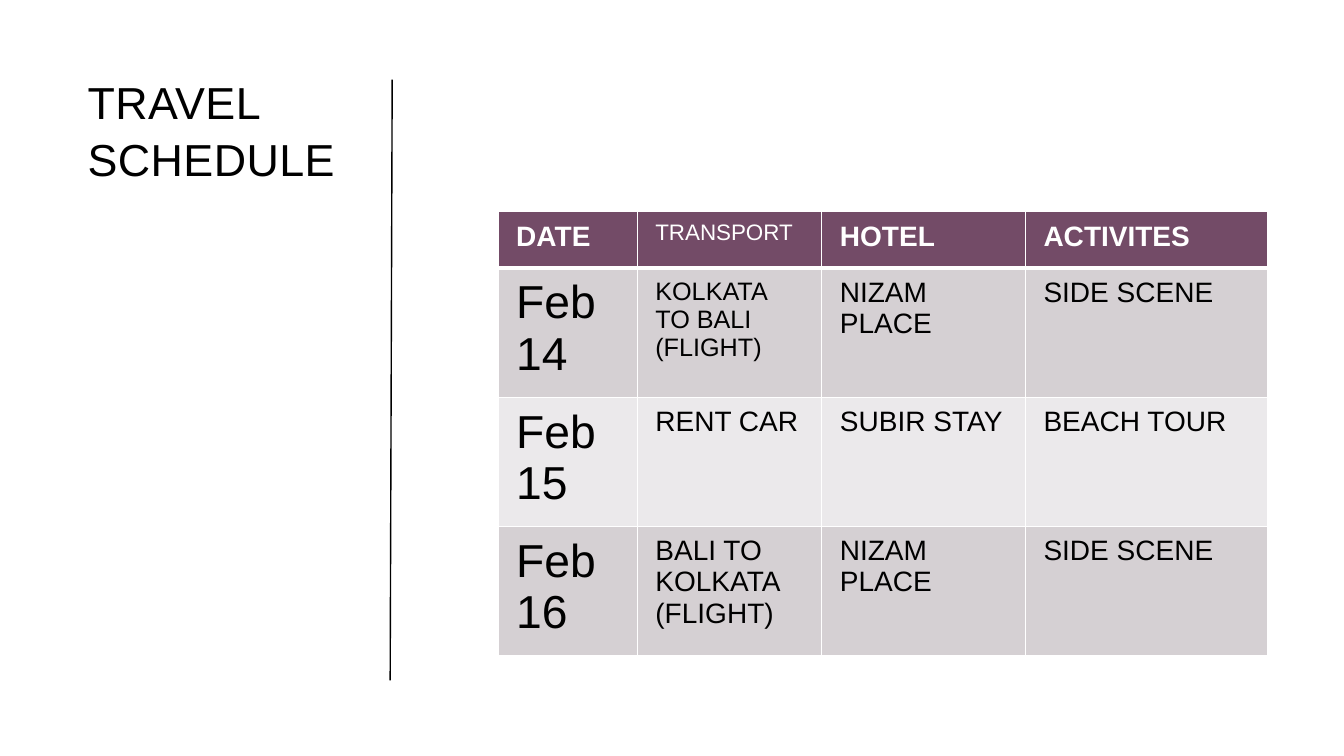
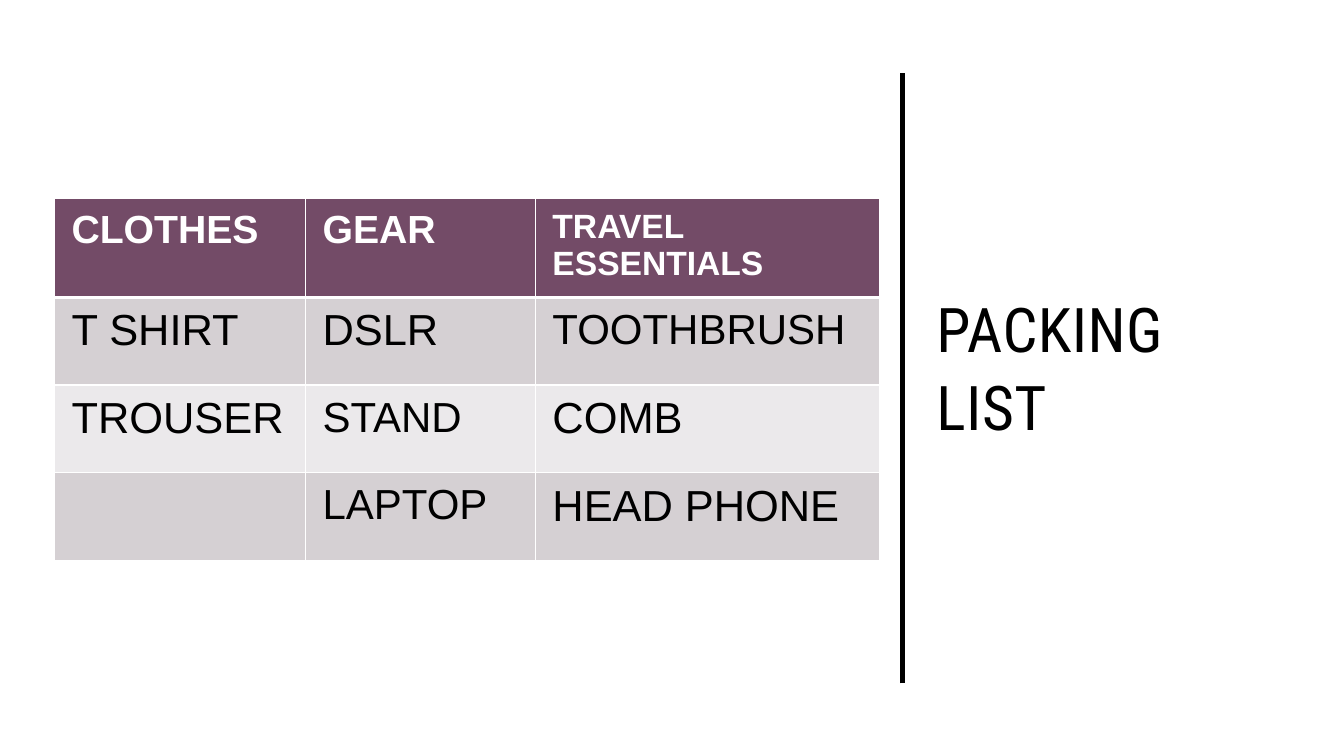
from lxml.etree import SubElement
from pptx import Presentation
from pptx.dml.color import RGBColor
from pptx.enum.shapes import MSO_CONNECTOR
from pptx.enum.text import MSO_ANCHOR
from pptx.oxml.ns import qn
from pptx.util import Pt

PX = 9144  # 100 px to the inch
BLACK = RGBColor(0x00, 0x00, 0x00)
WHITE = RGBColor(0xFF, 0xFF, 0xFF)
PLUM = RGBColor(0x73, 0x4B, 0x67)
BANDS = (RGBColor(0xD5, 0xD0, 0xD3), RGBColor(0xEB, 0xE9, 0xEB))
BODY_FONT = "Arial"


def px(*lengths):
    return [round(n * PX) for n in lengths]


def format_font(font, **values):
    for name, value in values.items():
        if name == "color":
            font.color.rgb = value
        else:
            setattr(font, name, value)


def add_title(s, box, text, size, font, anchor):
    tf = s.shapes.add_textbox(*px(*box)).text_frame
    tf.word_wrap = True
    tf.vertical_anchor = anchor
    p = tf.paragraphs[0]
    p.line_spacing = 1.05
    r = p.add_run()
    r.text = text
    format_font(r.font, name=font, size=Pt(size), color=BLACK)
    r.font._element.set("spc", "30")


def add_rule(s, start, end, width):
    line = s.shapes.add_connector(MSO_CONNECTOR.STRAIGHT, *px(*start, *end))
    line.line.color.rgb = BLACK
    line.line.width = Pt(width)
    SubElement(line._element.spPr, qn("a:effectLst"))


def set_borders(cell, top, bottom):
    tc_pr = cell._tc.get_or_add_tcPr()
    for side, width in (("L", 1), ("R", 1), ("T", top), ("B", bottom)):
        ln = SubElement(tc_pr, qn(f"a:ln{side}"), w=str(Pt(width)))
        fill = SubElement(ln, qn("a:solidFill"))
        SubElement(fill, qn("a:srgbClr"), val=str(WHITE))


def fill_cell(cell, row, text, size, bold, inset):
    header = row == 0
    set_borders(cell, 3 if row == 1 else 1, 3 if header else 1)
    cell.fill.solid()
    cell.fill.fore_color.rgb = PLUM if header else BANDS[(row - 1) % 2]
    cell.margin_left, cell.margin_right = px(inset, inset)
    cell.margin_top, cell.margin_bottom = px(9, 9)
    cell.text = text
    for p in cell.text_frame.paragraphs:
        format_font(p.font, name=BODY_FONT, size=Pt(size), bold=bold,
                    color=WHITE if header else BLACK)


def add_grid(s, left, top, cols, rows, cells, inset):
    """Each cell is (text, size), with False added for a plain header."""
    frame = s.shapes.add_table(len(rows), len(cols),
                               *px(left, top, sum(cols), sum(rows)))
    table = frame.table
    table.first_row = table.horz_banding = False
    for col, width in zip(table.columns, px(*cols)):
        col.width = width
    for row, height in zip(table.rows, px(*rows)):
        row.height = height
    for i, line in enumerate(cells):
        for j, (text, size, *bold) in enumerate(line):
            fill_cell(table.cell(i, j), i, text, size,
                      bold[0] if bold else i == 0, inset)


def schedule_slide(s):
    add_title(s, (77, 67, 276, 491), "TRAVEL SCHEDULE", 32, BODY_FONT,
              MSO_ANCHOR.TOP)
    add_rule(s, (387, 675), (389, 79), 1)
    add_grid(s, 494, 210, (138, 183, 202, 240), (56, 120, 120, 120), [
        [("DATE", 20), ("TRANSPORT", 16, False), ("HOTEL", 20),
         ("ACTIVITES", 20)],
        [("Feb 14", 33), ("KOLKATA TO BALI\n(FLIGHT)", 18),
         ("NIZAM PLACE", 20), ("SIDE SCENE", 20)],
        [("Feb 15", 33), ("RENT CAR", 20), ("SUBIR STAY", 20),
         ("BEACH TOUR", 20)],
        [("Feb 16", 33), ("BALI TO KOLKATA\n(FLIGHT)", 20),
         ("NIZAM PLACE", 20), ("SIDE SCENE", 20)],
    ], inset=18)


def packing_slide(s):
    add_rule(s, (895, 678), (895, 72), 3.5)
    add_title(s, (919, 149, 340, 295), "PACKING LIST", 44,
              "Roboto Condensed", MSO_ANCHOR.BOTTOM)
    add_grid(s, 54, 197, (249, 228, 341), (94, 87, 87, 87), [
        [("CLOTHES", 28), ("GEAR", 28), ("TRAVEL ESSENTIALS", 24)],
        [("T SHIRT", 31), ("DSLR", 31), ("TOOTHBRUSH", 30)],
        [("TROUSER", 31), ("STAND", 30), ("COMB", 31)],
        [("", 31), ("LAPTOP", 30), ("HEAD PHONE", 31)],
    ], inset=17)


def main():
    prs = Presentation()
    prs.slide_width, prs.slide_height = px(1333, 750)
    for build in (schedule_slide, packing_slide):
        build(prs.slides.add_slide(prs.slide_layouts[6]))
    prs.save("out.pptx")


if __name__ == "__main__":
    main()
